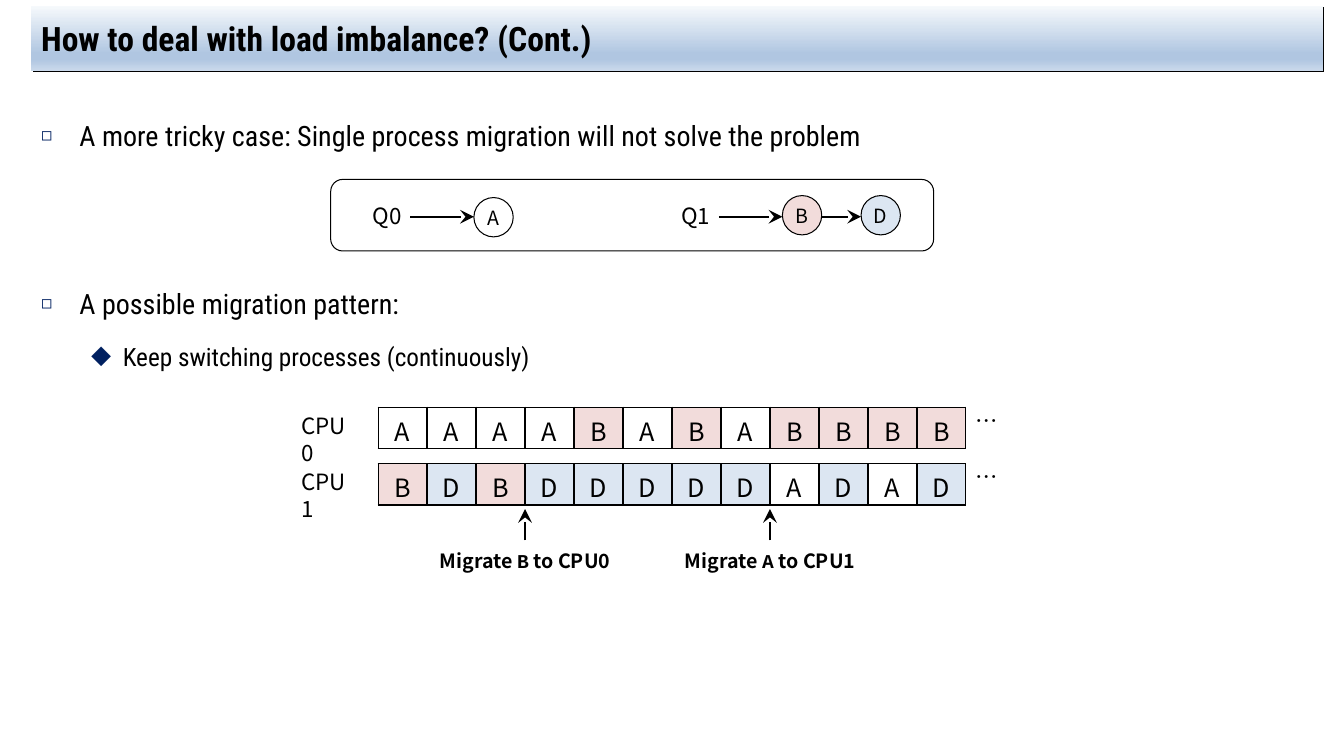
from lxml import etree
from pptx import Presentation
from pptx.dml.color import RGBColor
from pptx.enum.shapes import MSO_CONNECTOR, MSO_SHAPE
from pptx.enum.text import MSO_ANCHOR, PP_ALIGN
from pptx.oxml import parse_xml
from pptx.oxml.ns import qn
from pptx.util import Inches, Pt

STRAIGHT = MSO_CONNECTOR.STRAIGHT
RECTANGLE, ROUNDED, OVAL = MSO_SHAPE.RECTANGLE, MSO_SHAPE.ROUNDED_RECTANGLE, MSO_SHAPE.OVAL
LEFT, CENTER = PP_ALIGN.LEFT, PP_ALIGN.CENTER
MIDDLE = MSO_ANCHOR.MIDDLE

HEADING_FONT, LABEL_FONT, CODE_FONT = "Roboto Condensed", "Noto Sans CJK KR", "Courier New"
COLORS = {"black": "000000", "bullet": "002060", "A": "FFFFFF", "B": "F2DCDB", "D": "DCE6F2"}
TITLE_STOPS = [(0, "F6F9FC"), (74, "B0C6E1"), (83, "B0C6E1"), (100, "CAD9EB")]
DRAWING_NS = 'xmlns:a="http://schemas.openxmlformats.org/drawingml/2006/main"'
JOB_SIZE = 0.39


def color(name):
    return RGBColor.from_string(COLORS[name])


def add_run(paragraph, text, size, font=LABEL_FONT, bold=False):
    run = paragraph.add_run()
    run.text = text
    run.font.size = Pt(size)
    run.font.bold = bold
    run.font.color.rgb = color("black")
    run.font.name = font
    east_asian = etree.SubElement(run.font._element, qn("a:ea"))
    east_asian.set("typeface", font)


def add_label(slide, box, runs, size, align=LEFT, wrap=True, bold=False):
    """Place a text box; runs holds (text, font) pairs."""
    frame = slide.shapes.add_textbox(*map(Inches, box)).text_frame
    frame.word_wrap = wrap
    paragraph = frame.paragraphs[0]
    paragraph.alignment = align
    for text, font in runs:
        add_run(paragraph, text, size, font, bold)


def add_shape(slide, kind, box):
    shape = slide.shapes.add_shape(kind, *map(Inches, box))
    shape.shadow.inherit = False
    shape.fill.background()
    shape.line.color.rgb = color("black")
    shape.line.width = Pt(0.75)
    return shape


def add_arrow(slide, start, end, width):
    arrow = slide.shapes.add_connector(STRAIGHT, *map(Inches, start + end))
    arrow.line.color.rgb = color("black")
    arrow.line.width = Pt(width)
    head = etree.SubElement(arrow.line._get_or_add_ln(), qn("a:tailEnd"))
    for name, value in (("type", "stealth"), ("w", "lg"), ("len", "lg")):
        head.set(name, value)
    etree.SubElement(arrow._element.spPr, qn("a:effectLst"))


def add_title(slide, box, text):
    bar = slide.shapes.add_shape(RECTANGLE, *map(Inches, box))
    bar.line.fill.background()
    bar.fill.background()
    properties = bar._element.spPr
    stops = "".join(
        f'<a:gs pos="{position * 1000}"><a:srgbClr val="{value}"/></a:gs>'
        for position, value in TITLE_STOPS
    )
    gradient = parse_xml(
        f'<a:gradFill {DRAWING_NS}><a:gsLst>{stops}</a:gsLst>'
        '<a:lin ang="5400000" scaled="0"/></a:gradFill>'
    )
    properties.replace(properties.find(qn("a:noFill")), gradient)
    properties.append(parse_xml(
        f'<a:effectLst {DRAWING_NS}><a:outerShdw dist="{Pt(1.4)}" dir="2700000" algn="tl">'
        f'<a:srgbClr val="{COLORS["black"]}"/></a:outerShdw></a:effectLst>'
    ))
    frame = bar.text_frame
    frame.word_wrap = True
    frame.vertical_anchor = MIDDLE
    frame.paragraphs[0].alignment = LEFT
    add_run(frame.paragraphs[0], text, 24, HEADING_FONT, bold=True)


def add_bullet(paragraph, symbol, font, percent, margin, hanging):
    properties = paragraph._p.get_or_add_pPr()
    properties.set("marL", str(Inches(margin)))
    properties.set("indent", str(-Inches(hanging)))
    bullet_color = etree.SubElement(properties, qn("a:buClr"))
    etree.SubElement(bullet_color, qn("a:srgbClr")).set("val", COLORS["bullet"])
    etree.SubElement(properties, qn("a:buSzPct")).set("val", str(percent * 1000))
    etree.SubElement(properties, qn("a:buFont")).set("typeface", font)
    etree.SubElement(properties, qn("a:buChar")).set("char", symbol)


def add_body(slide, box, points):
    """Write (text, level, space before) points as a bulleted list."""
    styles = [("◻", HEADING_FONT, 65, 0.38, 0.38, 20), ("◆", LABEL_FONT, 80, 0.81, 0.31, 18)]
    frame = slide.shapes.add_textbox(*map(Inches, box)).text_frame
    frame.word_wrap = True
    for index, (text, level, space) in enumerate(points):
        paragraph = frame.add_paragraph() if index else frame.paragraphs[0]
        *bullet, size = styles[level]
        add_bullet(paragraph, *bullet)
        paragraph.level = level
        paragraph.line_spacing = 1.5
        paragraph.space_before = Pt(space)
        add_run(paragraph, text, size, HEADING_FONT)


def add_job(slide, left, top, name):
    circle = add_shape(slide, OVAL, (left, top, JOB_SIZE, JOB_SIZE))
    circle.fill.solid()
    circle.fill.fore_color.rgb = color(name)
    frame = circle.text_frame
    frame.margin_left = frame.margin_right = 0
    frame.vertical_anchor = MIDDLE
    frame.paragraphs[0].alignment = CENTER
    add_run(frame.paragraphs[0], name, 14)


def add_queue(slide, left, top, name, jobs, job_top):
    """Draw a queue name followed by its chain of jobs."""
    add_label(slide, (left, top, 0.5, 0.37), [(name, LABEL_FONT)], 16, wrap=False)
    arrow_y = top + 0.19
    arrow_start, job_left = left + 0.47, left + 1.1
    for job in jobs:
        add_arrow(slide, (arrow_start, arrow_y), (job_left, arrow_y), 1.5)
        add_job(slide, job_left, job_top, job)
        arrow_start = job_left + JOB_SIZE
        job_left += 0.78


def add_queues(slide, box):
    left, top = box[:2]
    add_shape(slide, ROUNDED, box)
    add_queue(slide, left + 0.32, top + 0.18, "Q0", "A", top + 0.18)
    add_queue(slide, left + 3.38, top + 0.18, "Q1", "BD", top + 0.16)


def add_cell_border(cell):
    properties = cell._tc.get_or_add_tcPr()
    for position, side in enumerate(("lnL", "lnR", "lnT", "lnB")):
        properties.insert(position, parse_xml(
            f'<a:{side} {DRAWING_NS} w="{Pt(1)}"><a:solidFill>'
            f'<a:srgbClr val="{COLORS["black"]}"/></a:solidFill></a:{side}>'
        ))


def add_timeline(slide, box, name, jobs):
    """Draw one processor's row of time slots, with its name and an ellipsis."""
    left, top, width, height = box
    add_label(slide, (left - 0.86, top, 0.75, 0.37), [(name, LABEL_FONT)], 16)
    table = slide.shapes.add_table(1, len(jobs), *map(Inches, box)).table
    table.first_row = table.horz_banding = False
    for column, job in enumerate(jobs):
        table.columns[column].width = Inches(width / len(jobs))
        cell = table.cell(0, column)
        cell.margin_bottom = 0
        cell.fill.solid()
        cell.fill.fore_color.rgb = color(job)
        add_cell_border(cell)
        paragraph = cell.text_frame.paragraphs[0]
        paragraph.alignment = CENTER
        add_run(paragraph, job, 18)
    add_label(slide, (left + width, top - 0.05, 0.39, 0.37), [("…", LABEL_FONT)], 16)


def add_migration(slide, center, top, job, target):
    add_arrow(slide, (center, top + 0.31), (center, top), 1)
    runs = [("Migrate ", LABEL_FONT), (job, CODE_FONT), (f" to {target}", LABEL_FONT)]
    add_label(slide, (center - 1.14, top + 0.35, 2.28, 0.34), runs, 14, CENTER, bold=True)


def add_schedule(slide, box):
    left, top, width = box[:3]
    add_timeline(slide, (left, top, width, 0.41), "CPU0", "AAAABABABBBB")
    add_timeline(slide, (left, top + 0.56, width, 0.41), "CPU1", "BDBDDDDDADAD")
    for slot, job, target in ((3, "B", "CPU0"), (8, "A", "CPU1")):
        add_migration(slide, left + width * slot / 12, top + 1.01, job, target)


def main():
    presentation = Presentation()
    presentation.slide_width, presentation.slide_height = Inches(13.33), Inches(7.5)
    slide = presentation.slides.add_slide(presentation.slide_layouts[6])
    add_title(slide, (0.31, 0.06, 12.81, 0.64), "How to deal with load imbalance? (Cont.)")
    add_body(slide, (0.31, 0.96, 12.81, 6.02), [
        ("A more tricky case: Single process migration will not solve the problem", 0, 0),
        ("A possible migration pattern:", 0, 84),
        ("Keep switching processes (continuously)", 1, 4),
    ])
    add_queues(slide, (3.28, 1.78, 5.98, 0.71))
    add_schedule(slide, (3.75, 4.04, 5.83, 1.7))
    presentation.save("out.pptx")


if __name__ == "__main__":
    main()
